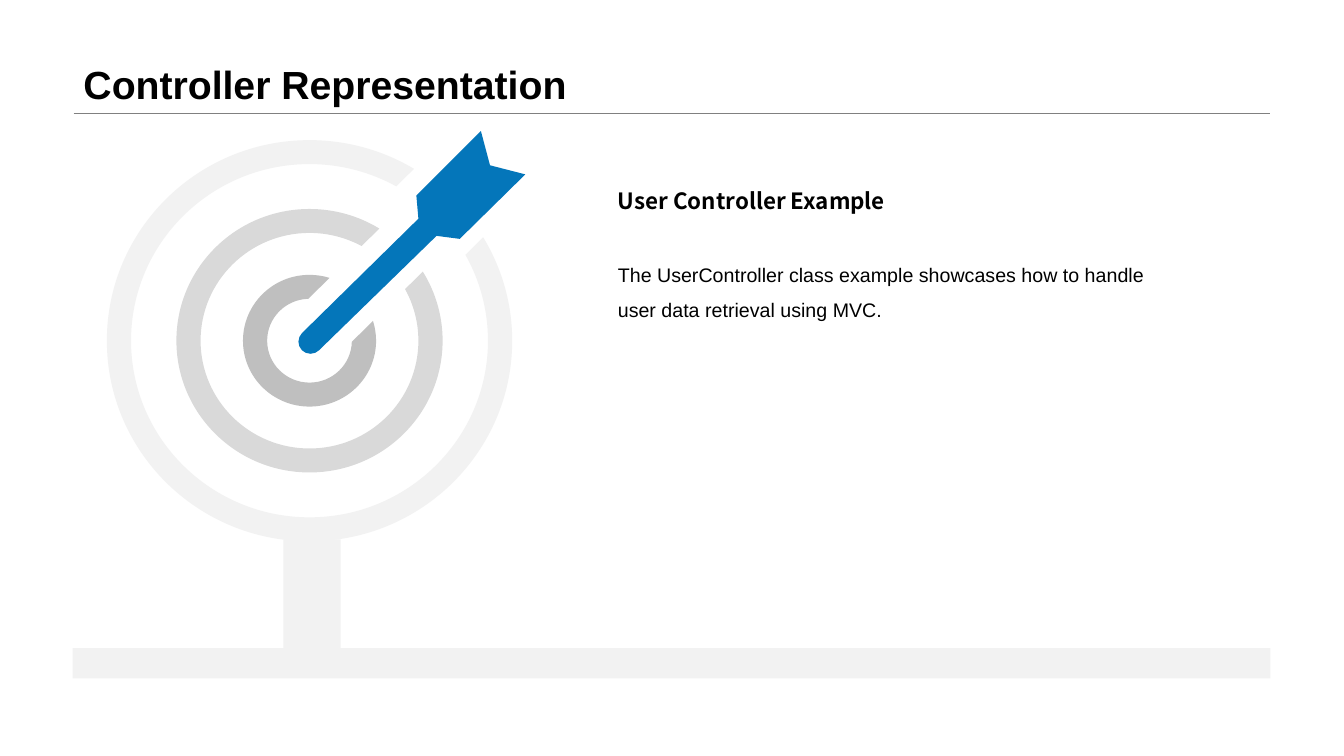
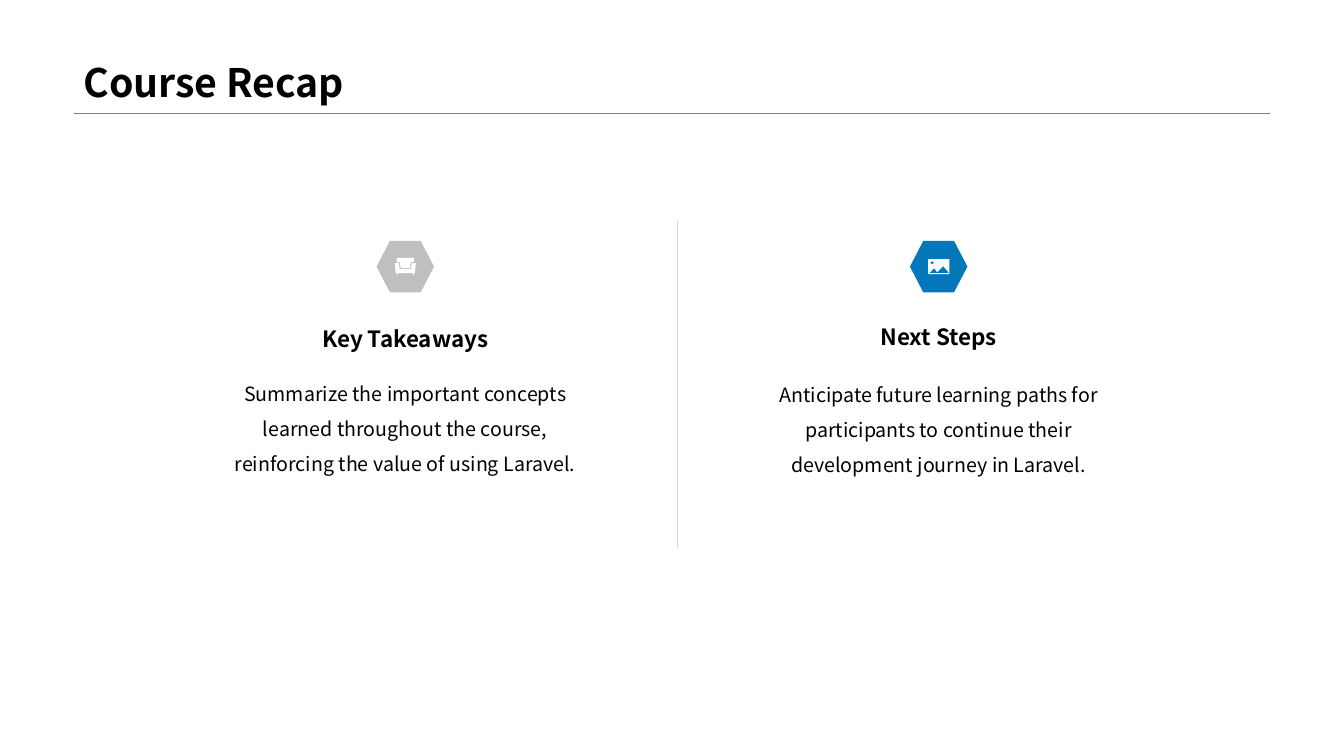
import math

import pptx
import pptx.dml.color
import pptx.enum.shapes
import pptx.enum.text
import pptx.oxml
import pptx.oxml.ns
import pptx.util

Inches = pptx.util.Inches
SHAPE = pptx.enum.shapes.MSO_SHAPE
ALIGN = pptx.enum.text.PP_ALIGN
ANCHOR = pptx.enum.text.MSO_ANCHOR
qn = pptx.oxml.ns.qn

COLORS = {
    "text": "000000",
    "rule": "808080",
    "accent": "0476BA",
    "white": "FFFFFF",
    "pale": "F2F2F2",
    "light": "D9D9D9",
    "mid": "BFBFBF",
}
SANS = "Arial"
NOTO = "Noto Sans CJK SC"
LEFT, WIDTH = 0.73, 11.87
TITLE_BOTTOM = 1.12

# Icon outlines, in inches from the top left of the hexagon
HEXAGON_SIZE = (0.57, 0.51)
CHAIR = [
    [(0.22, 0.22), (0.23, 0.28), (0.34, 0.28), (0.35, 0.22), (0.39, 0.22),
     (0.38, 0.32), (0.37, 0.32), (0.37, 0.34), (0.36, 0.34), (0.36, 0.32),
     (0.21, 0.32), (0.21, 0.34), (0.2, 0.34), (0.2, 0.32), (0.19, 0.32),
     (0.18, 0.22)],
    [(0.37, 0.17), (0.37, 0.21), (0.34, 0.21), (0.33, 0.27), (0.24, 0.27),
     (0.23, 0.21), (0.2, 0.21), (0.2, 0.17)],
]
PHOTO = [
    [(0.39, 0.18), (0.39, 0.33), (0.18, 0.33), (0.18, 0.18)],
    [(0.33, 0.25), (0.27, 0.31), (0.24, 0.27), (0.19, 0.32), (0.39, 0.32)],
    [(0.22, 0.2), (0.2, 0.22), (0.22, 0.23), (0.24, 0.22)],
]


def rgb(name):
    return pptx.dml.color.RGBColor.from_string(COLORS[name])


def set_alpha(fill, percent):
    alpha = pptx.oxml.parse_xml(
        f'<a:alpha {pptx.oxml.ns.nsdecls("a")} val="{percent * 1000}"/>')
    fill._xPr.find(".//" + qn("a:srgbClr")).append(alpha)


def paint(sp, color, alpha=None):
    sp.shadow.inherit = False
    sp.fill.solid()
    sp.fill.fore_color.rgb = rgb(color)
    if alpha:
        set_alpha(sp.fill, alpha)
    sp.line.fill.background()
    return sp


def add_shape(shapes, kind, left, top, width, height, color, alpha=None):
    sp = shapes.add_shape(kind, Inches(left), Inches(top), Inches(width), Inches(height))
    return paint(sp, color, alpha)


def add_outline(shapes, left, top, contours, color):
    """Draw closed contours, given in inches from (left, top), as one shape."""
    placed = [[(Inches(left + x), Inches(top + y)) for x, y in c] for c in contours]
    builder = shapes.build_freeform(*placed[0][0])
    builder.add_line_segments(placed[0][1:])
    for contour in placed[1:]:
        builder.move_to(*contour[0])
        builder.add_line_segments(contour[1:])
    return paint(builder.convert_to_shape(), color)


def bend(sp, first, count):
    """Turn each three straight segments, from number first on, into a Bezier curve."""
    segments = list(sp._element.iter(qn("a:lnTo")))
    for i in range(first, first + count, 3):
        curve = pptx.oxml.parse_xml(f'<a:cubicBezTo {pptx.oxml.ns.nsdecls("a")}/>')
        segments[i].addprevious(curve)
        for segment in segments[i:i + 3]:
            curve.append(segment[0])
            segment.getparent().remove(segment)


def add_line(slide, start, end, width, alpha=None):
    line = slide.shapes.add_connector(
        pptx.enum.shapes.MSO_CONNECTOR.STRAIGHT, *map(Inches, start + end))
    line.line.width = pptx.util.Pt(width)
    line.line.color.rgb = rgb("rule")
    if alpha:
        set_alpha(line.line.fill, alpha)
    line._element.spPr.append(
        pptx.oxml.parse_xml(f'<a:effectLst {pptx.oxml.ns.nsdecls("a")}/>'))


def add_text(slide, text, left, top, width, height, size=14, font=NOTO, bold=False,
             align=ALIGN.LEFT, anchor=ANCHOR.TOP, spacing=1.0):
    box = slide.shapes.add_textbox(Inches(left), Inches(top), Inches(width), Inches(height))
    tf = box.text_frame
    tf.word_wrap = True
    tf.vertical_anchor = anchor
    p = tf.paragraphs[0]
    p.alignment = align
    p.line_spacing = spacing
    r = p.add_run()
    r.text = text
    r.font.name = font
    r.font.size = pptx.util.Pt(size)
    r.font.bold = bold
    r.font.color.rgb = rgb("text")


def add_titled_slide(prs, title, font, top=0):
    slide = prs.slides.add_slide(prs.slide_layouts[6])
    add_line(slide, (LEFT, TITLE_BOTTOM), (LEFT + WIDTH, TITLE_BOTTOM), 0.25)
    add_text(slide, title, LEFT, top, WIDTH, TITLE_BOTTOM, size=28, font=font,
             bold=True, anchor=ANCHOR.BOTTOM, spacing=0.9)
    return slide


def arc(radius, start, end, squash=1.0):
    """Bezier points around (0, 0), split at the axes; degrees clockwise from the right."""
    stops = [start] + [a for a in range(0, 360, 90) if start < a < end] + [end]
    stops = [math.radians(a) for a in stops]
    points = [(math.cos(stops[0]), math.sin(stops[0]))]
    for a, b in zip(stops, stops[1:]):
        k = 4 / 3 * math.tan((b - a) / 4)
        points += [(math.cos(a) - k * math.sin(a), math.sin(a) + k * math.cos(a)),
                   (math.cos(b) + k * math.sin(b), math.sin(b) - k * math.cos(b)),
                   (math.cos(b), math.sin(b))]
    return [(radius * x, radius * squash * y) for x, y in points]


def add_ring(shapes, cx, cy, radius, gap, color):
    """Draw a ring cut by a straight gap that runs up to the right."""
    thickness, squash = 0.24, 0.99
    outer, inner = (
        arc(rad, -45 + cut, 315 - cut, squash)
        for rad in (radius, radius - thickness)
        for cut in [math.degrees(math.asin(gap / 2 / rad))])
    sp = add_outline(shapes, cx, cy, [outer + inner[::-1]], color)
    bend(sp, len(outer), len(inner) - 1)
    bend(sp, 0, len(outer) - 1)


def add_arrow(shapes, cx, cy):
    """Draw the arrow with its round tip at (cx, cy)."""
    tip = arc(0.12, 45, 225)
    feathers = [(1.07, -1.22), (1.05, -1.45), (1.69, -2.09), (1.78, -1.75),
                (2.13, -1.66), (1.48, -1.02), (1.25, -1.05)]
    bend(add_outline(shapes, cx, cy, [tip + feathers], "accent"), 0, len(tip) - 1)


def add_target(slide, left, top):
    radius = 2.01
    cx, cy = left + radius, top + 1.99
    shapes = slide.shapes.add_group_shape().shapes
    add_shape(shapes, SHAPE.RECTANGLE, cx - 0.26, top + 3.96, 0.57, 1.08, "pale")
    add_arrow(shapes, cx + 0.01, cy + 0.01)
    for ring_radius, gap, color in [(1.32, 0.61, "light"), (0.66, 0.61, "mid"),
                                    (radius, 0.97, "pale")]:
        add_ring(shapes, cx, cy, ring_radius, gap, color)


def add_hexagon_icon(slide, left, top, glyph, color, alpha=None):
    shapes = slide.shapes.add_group_shape().shapes
    sp = add_shape(shapes, SHAPE.HEXAGON, left, top, *HEXAGON_SIZE, color, alpha)
    sp.adjustments[0] = 0.26
    add_outline(shapes, left, top, glyph, "white")


def add_recap_column(slide, left, top, heading, heading_drop, body, body_drop, glyph,
                     color, alpha=None):
    """Place icon, heading and body; the drops are measured from top."""
    width = 3.74
    add_text(slide, body, left, top + body_drop, width, 1.47, align=ALIGN.CENTER,
             spacing=1.5)
    add_text(slide, heading, left, top + heading_drop, width, 0.37, size=16, bold=True,
             align=ALIGN.CENTER)
    add_hexagon_icon(slide, left + (width - HEXAGON_SIZE[0]) / 2, top, glyph, color, alpha)


def build_controller_slide(prs):
    slide = add_titled_slide(prs, "Controller Representation", SANS)
    add_shape(slide.shapes, SHAPE.RECTANGLE, 0.72, 6.43, 11.88, 0.3, "pale")
    add_target(slide, 1.06, 1.39)
    left, width = 6.03, 5.46
    add_text(slide, "The UserController class example showcases how to handle user data "
             "retrieval using MVC.", left, 2.44, width, 2.89, font=SANS, spacing=1.5)
    add_text(slide, "User Controller Example", left, 1.8, width, 0.37, size=16, bold=True,
             anchor=ANCHOR.BOTTOM)


def build_recap_slide(prs):
    slide = add_titled_slide(prs, "Course Recap", NOTO, top=-0.02)
    top = 2.39
    add_recap_column(
        slide, 2.15, top, "Key Takeaways", 0.79,
        "Summarize the important concepts learned throughout the course, "
        "reinforcing the value of using Laravel.", 1.23, CHAIR, "rule", alpha=50)
    add_line(slide, (6.72, top - 0.2), (6.72, top + 3.05), 0.5, alpha=30)
    add_recap_column(
        slide, 7.44, top, "Next Steps", 0.77,
        "Anticipate future learning paths for participants to continue their "
        "development journey in Laravel.", 1.24, PHOTO, "accent")


def main():
    prs = pptx.Presentation()
    prs.slide_width = Inches(13.33)
    prs.slide_height = Inches(7.5)
    build_controller_slide(prs)
    build_recap_slide(prs)
    prs.save("out.pptx")


if __name__ == "__main__":
    main()
